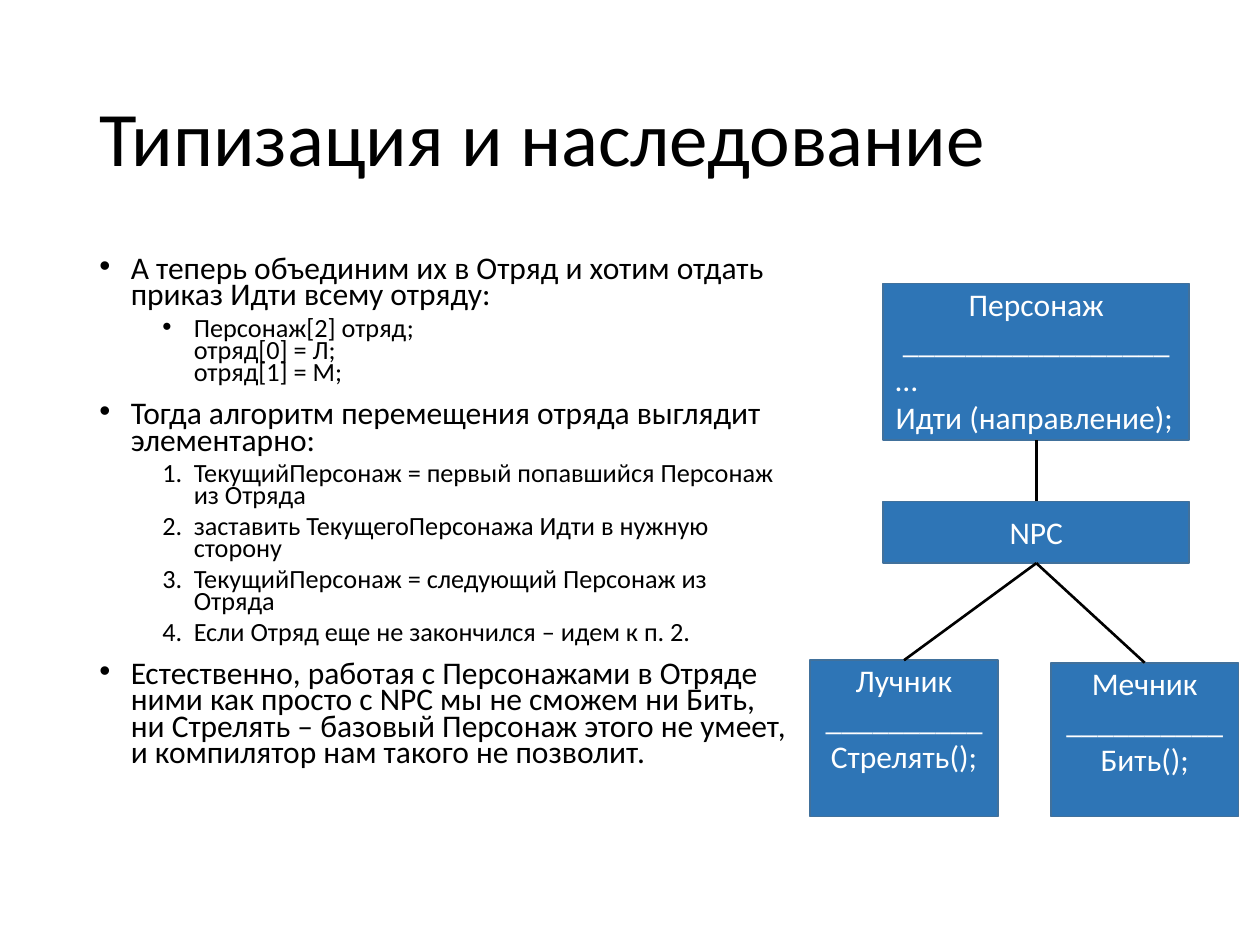
import copy

import pptx
import pptx.dml.color
import pptx.enum.shapes
import pptx.enum.text
import pptx.oxml.ns
import pptx.util
from lxml import etree

Inches, Pt = pptx.util.Inches, pptx.util.Pt
RGBColor = pptx.dml.color.RGBColor
ALIGN = pptx.enum.text.PP_ALIGN
ANCHOR = pptx.enum.text.MSO_ANCHOR
qn = pptx.oxml.ns.qn

BLACK = RGBColor(0x00, 0x00, 0x00)
WHITE = RGBColor(0xFF, 0xFF, 0xFF)
BLUE = RGBColor(0x2E, 0x75, 0xB6)
BLUE_EDGE = RGBColor(0x41, 0x71, 0x9C)
TOP, BOTTOM = 0, 2

# Level, numbered, text
BODY = [
    (0, False, "А теперь объединим их в Отряд и хотим отдать приказ Идти всему отряду:"),
    (1, False, "Персонаж[2] отряд;\vотряд[0] = Л;\vотряд[1] = М;"),
    (0, False, "Тогда алгоритм перемещения отряда выглядит элементарно:"),
    (1, True, "ТекущийПерсонаж = первый попавшийся Персонаж из Отряда"),
    (1, True, "заставить ТекущегоПерсонажа Идти в нужную сторону"),
    (1, True, "ТекущийПерсонаж = следующий Персонаж из Отряда"),
    (1, True, "Если Отряд еще не закончился – идем к п. 2."),
    (0, False, "Естественно, работая с Персонажами в Отряде ними как просто с NPC "
               "мы не сможем ни Бить, ни Стрелять – базовый Персонаж этого не умеет, "
               "и компилятор нам такого не позволит."),
]


def add_bullet(p, indent, numbered):
    """Give the paragraph a hanging bullet or an automatic number."""
    pPr = p._p.get_or_add_pPr()
    pPr.set("marL", str(Inches(indent)))
    pPr.set("indent", str(Inches(-0.25)))
    if numbered:
        etree.SubElement(pPr, qn("a:buFont"), typeface="+mj-lt")
        etree.SubElement(pPr, qn("a:buAutoNum"), type="arabicPeriod")
    else:
        etree.SubElement(pPr, qn("a:buFont"), typeface="Arial")
        etree.SubElement(pPr, qn("a:buChar"), char="•")


def write(p, text, size=18, color=BLACK, font="Calibri", align=ALIGN.LEFT,
          spacing=None, before=0):
    p.text = text
    p.alignment = align
    p.line_spacing = spacing
    p.space_before = Pt(before)
    for r in p.runs:
        r.font.name = font
        r.font.size = Pt(size)
        r.font.color.rgb = color
    for br in p._p.findall(qn("a:br")):
        br.append(copy.deepcopy(p.runs[0]._r.rPr))


class ClassSlide:
    """Draws the slide's title, text and class diagram in one style."""

    def __init__(self, prs):
        self.slide = prs.slides.add_slide(prs.slide_layouts[5])

    def title(self, text, left, top, width, height):
        sp = self.slide.shapes.title
        sp.left, sp.top = Inches(left), Inches(top)
        sp.width, sp.height = Inches(width), Inches(height)
        tf = sp.text_frame
        tf.auto_size = pptx.enum.text.MSO_AUTO_SIZE.NONE
        tf.vertical_anchor = ANCHOR.MIDDLE
        write(tf.paragraphs[0], text, size=44, spacing=0.9)

    def body(self, items, left, top, width, height):
        sp = self.slide.shapes.add_textbox(
            Inches(left), Inches(top), Inches(width), Inches(height))
        tf = sp.text_frame
        tf.word_wrap = True
        for i, (level, numbered, text) in enumerate(items):
            p = tf.paragraphs[0] if i == 0 else tf.add_paragraph()
            p.level = level
            add_bullet(p, 0.75 if level else 0.25, numbered)
            before = 5 if level else 10
            write(p, text, size=15 if level else 18, spacing=0.7,
                  before=before if i else 0)

    def class_box(self, centered, left, top, width, height, members=(), anchor=ANCHOR.TOP):
        """Box with centred lines followed by left-aligned members."""
        sp = self.slide.shapes.add_shape(
            pptx.enum.shapes.MSO_SHAPE.RECTANGLE,
            Inches(left), Inches(top), Inches(width), Inches(height))
        sp.shadow.inherit = False
        sp.fill.solid()
        sp.fill.fore_color.rgb = BLUE
        sp.line.color.rgb = BLUE_EDGE
        sp.line.width = Pt(1)
        tf = sp.text_frame
        tf.word_wrap = True
        tf.vertical_anchor = anchor
        tf.margin_top = tf.margin_bottom = Inches(0.01)
        lines = [(text, ALIGN.CENTER) for text in centered]
        lines += [(text, ALIGN.LEFT) for text in members]
        for i, (text, align) in enumerate(lines):
            p = tf.paragraphs[0] if i == 0 else tf.add_paragraph()
            write(p, text, color=WHITE, align=align)
        return sp

    def inherit(self, child, parent):
        """Join the top of the child box to the bottom of its parent."""
        line = self.slide.shapes.add_connector(
            pptx.enum.shapes.MSO_CONNECTOR.STRAIGHT, 0, 0, 0, 0)
        line.begin_connect(child, TOP)
        line.end_connect(parent, BOTTOM)
        line.line.color.rgb = BLACK
        line.line.width = Pt(1.5)
        etree.SubElement(line._element.spPr, qn("a:effectLst"))


def main():
    prs = pptx.Presentation()
    prs.slide_width, prs.slide_height = Inches(10), Inches(7.5)
    s = ClassSlide(prs)
    s.title("Типизация и наследование", 0.69, 0.4, 8.63, 1.45)
    s.body(BODY, 0.69, 2, 5.67, 4.76)

    npc = s.class_box(["NPC"], 7.01, 3.98, 2.43, 0.49, anchor=ANCHOR.MIDDLE)
    archer = s.class_box(["Лучник", "_" * 10, "Стрелять();"], 6.43, 5.24, 1.49, 1.24)
    swordsman = s.class_box(["Мечник", "_" * 10, "Бить();"], 8.34, 5.26, 1.49, 1.22)
    character = s.class_box(["Персонаж", "_" * 17], 7.01, 2.25, 2.43, 1.24,
                            members=["…", "Идти (направление);"])
    for child, parent in [(archer, npc), (swordsman, npc), (npc, character)]:
        s.inherit(child, parent)
    prs.save("out.pptx")


if __name__ == "__main__":
    main()
